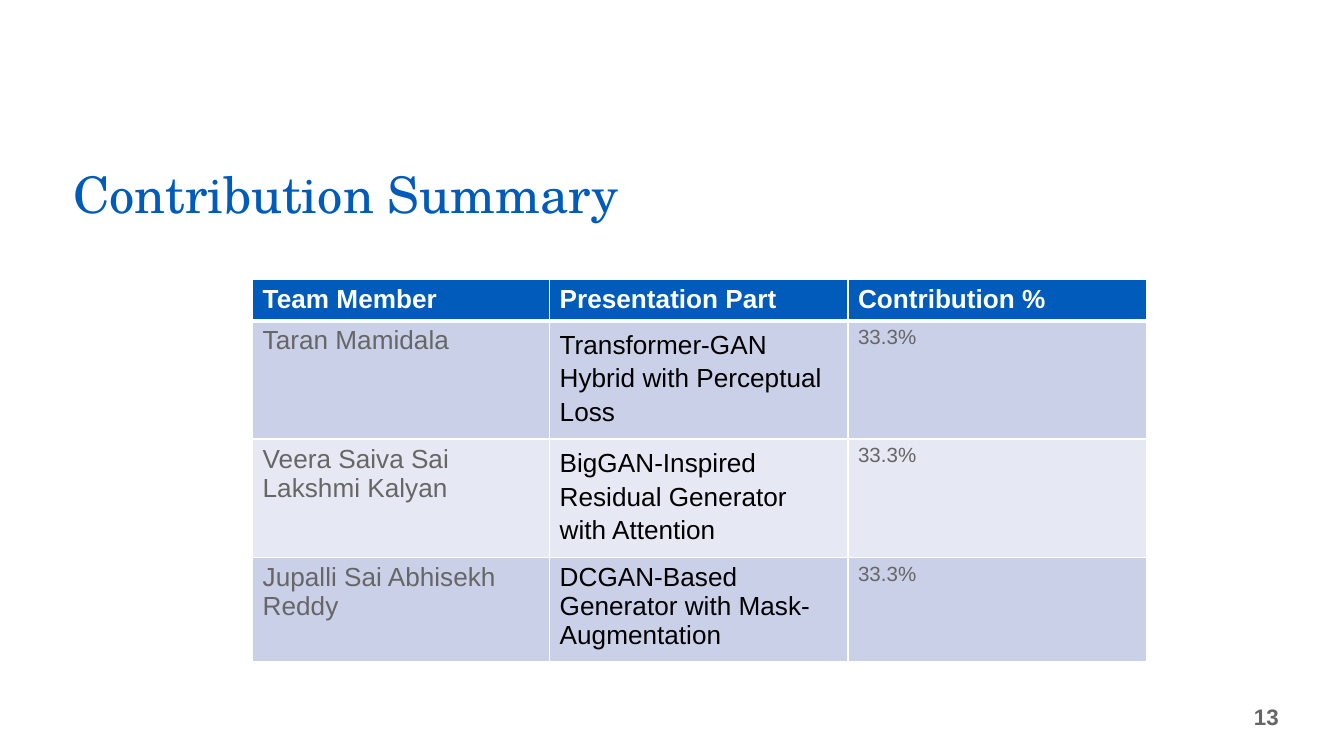
from lxml.etree import SubElement
from pptx import Presentation
from pptx.dml.color import RGBColor
from pptx.enum.text import MSO_ANCHOR, PP_ALIGN
from pptx.oxml.ns import qn
from pptx.util import Inches, Pt

# Content
TITLE = "Contribution Summary"
PAGE = "13"
HEADER = ("Team Member", "Presentation Part", "Contribution %")
MEMBERS = [
    ("Taran Mamidala", "Transformer-GAN Hybrid with Perceptual Loss", "33.3%"),
    ("Veera Saiva Sai Lakshmi Kalyan",
     "BigGAN-Inspired Residual Generator with Attention", "33.3%"),
    ("Jupalli Sai Abhisekh Reddy",
     "DCGAN-Based Generator with Mask-Augmentation", "33.3%"),
]

# Style
BLUE, GRAY, BLACK, WHITE = "005BBB", "666666", "000000", "FFFFFF"
BANDS = ("CAD0E7", "E6E9F3")
COLUMN_STYLES = ((14, GRAY), (14, BLACK), (11, GRAY))
COL_WIDTHS = (2.21, 2.22, 2.22)
ROW_HEIGHTS = (0.3, 0.87, 0.87, 0.76)
LINE_SPACINGS = (1.15, 1.15, 1.0)  # middle column, row by row
INSET_X, INSET_Y = Pt(5.4), Pt(2.7)


def color(value):
    return RGBColor.from_string(value)


def set_margins(box):
    box.margin_left = box.margin_right = INSET_X
    box.margin_top = box.margin_bottom = INSET_Y


def add_run(p, text, size, fill, bold=False, font="Arial"):
    r = p.add_run()
    r.text = text
    r.font.name = font
    r.font.size = Pt(size)
    r.font.bold = bold
    r.font.color.rgb = color(fill)


def add_text_box(s, box, anchor):
    tf = s.shapes.add_textbox(*map(Inches, box)).text_frame
    tf.word_wrap = True
    tf.vertical_anchor = anchor
    set_margins(tf)
    return tf.paragraphs[0]


def style_cell(cell, fill, top=1, bottom=1):
    set_margins(cell)
    tc_pr = cell._tc.get_or_add_tcPr()
    for side, width in (("L", 1), ("R", 1), ("T", top), ("B", bottom)):
        line = SubElement(tc_pr, qn(f"a:ln{side}"), w=str(Pt(width)))
        solid = SubElement(line, qn("a:solidFill"))
        SubElement(solid, qn("a:srgbClr"), val=WHITE)
    cell.fill.solid()
    cell.fill.fore_color.rgb = color(fill)


# Widescreen 16:9 slide
prs = Presentation()
prs.slide_width = Inches(10)
prs.slide_height = prs.slide_width * 9 // 16
s = prs.slides.add_slide(prs.slide_layouts[6])

# Title and page number
p = add_text_box(s, (0.47, 1.23, 4.46, 0.48), MSO_ANCHOR.BOTTOM)
p.line_spacing = 0.9
add_run(p, TITLE, 27, BLUE, font="TeX Gyre Schola")

p = add_text_box(s, (6.21, 5.18, 3.38, 0.3), MSO_ANCHOR.MIDDLE)
p.alignment = PP_ALIGN.RIGHT
add_run(p, PAGE, 12, GRAY, bold=True)

# Contribution table
table = s.shapes.add_table(
    len(MEMBERS) + 1, len(HEADER), Inches(1.88), Inches(2.08),
    Inches(sum(COL_WIDTHS)), Inches(sum(ROW_HEIGHTS))).table
for column, width in zip(table.columns, COL_WIDTHS):
    column.width = Inches(width)
for row, height in zip(table.rows, ROW_HEIGHTS):
    row.height = Inches(height)

for j, text in enumerate(HEADER):
    cell = table.cell(0, j)
    style_cell(cell, BLUE, bottom=3)
    add_run(cell.text_frame.paragraphs[0], text, 14, WHITE, bold=True)

for i, member in enumerate(MEMBERS):
    for j, (text, (size, fill)) in enumerate(zip(member, COLUMN_STYLES)):
        cell = table.cell(i + 1, j)
        # The first body row shares the header's thick rule
        style_cell(cell, BANDS[i % 2], top=3 if i == 0 else 1)
        p = cell.text_frame.paragraphs[0]
        if j == 1:
            p.line_spacing = LINE_SPACINGS[i]
        add_run(p, text, size, fill)

prs.save("out.pptx")
